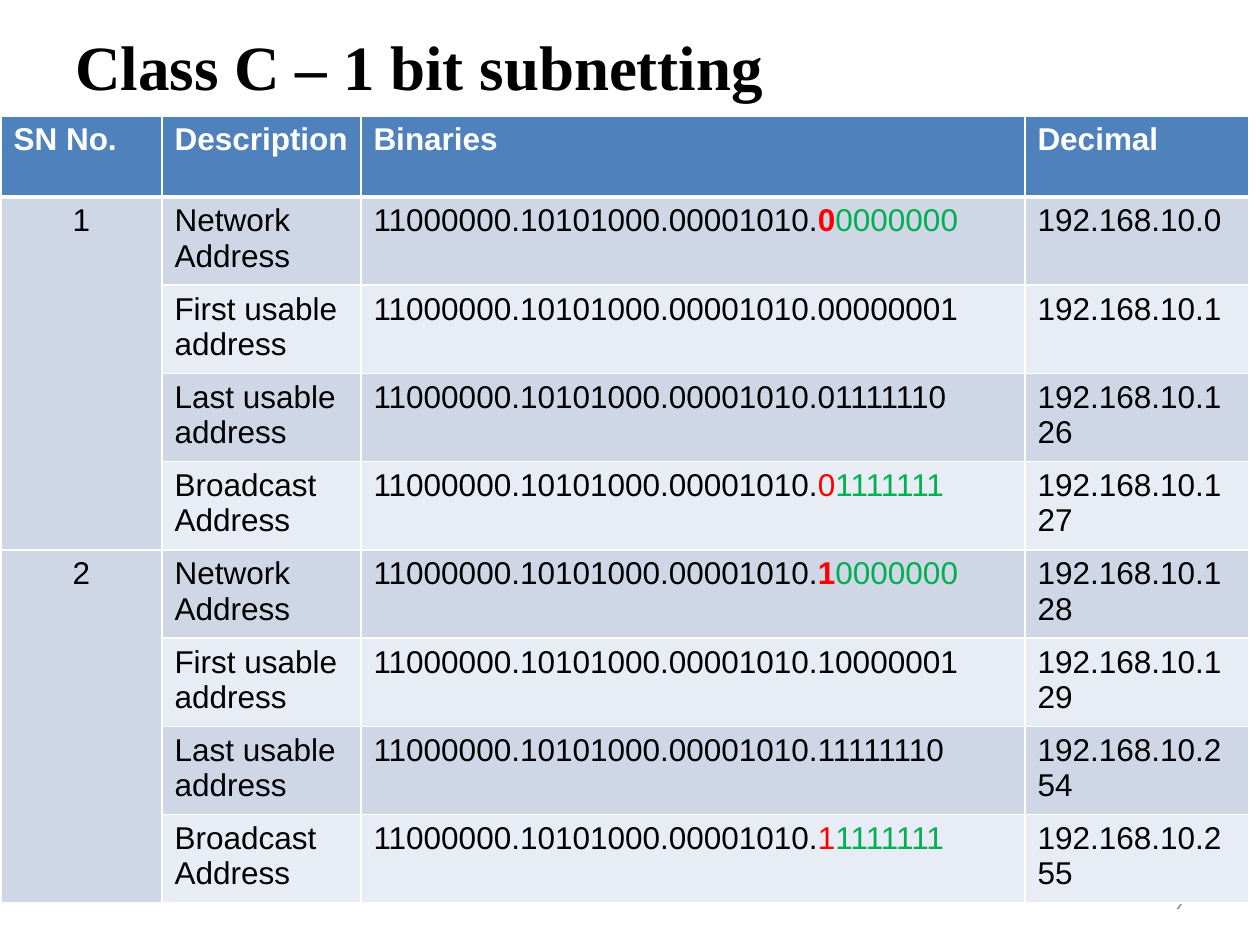
import dataclasses
import typing

import pptx
import pptx.dml.color
import pptx.enum.text
import pptx.oxml.xmlchemy
import pptx.util
from lxml import etree

PX = 914400 / 126
COLORS = {
    "black": "000000",
    "white": "FFFFFF",
    "header": "4F81BD",
    "band_dark": "CFD7E7",
    "band_light": "E8ECF4",
    "subnet_bit": "FF0000",
    "host_bits": "00B050",
    "page_number": "888888",
}
ALIGN = pptx.enum.text.PP_ALIGN
ANCHOR = pptx.enum.text.MSO_ANCHOR
NETWORK_BITS = "11000000.10101000.00001010."
NETWORK_DECIMAL = "192.168.10."
HEADERS = ["SN No.", "Description", "Binaries", "Decimal"]
COLUMN_WIDTHS = [161, 199, 664, 224]
ROW_HEIGHT = 81
HEADER_FORMAT = {"name": "Arial", "size": pptx.util.Pt(18), "bold": True}
BODY_FORMAT = {"name": "Arial", "size": pptx.util.Pt(18), "bold": False}


@dataclasses.dataclass
class Run:
    text: str
    format: dict[str, typing.Any]
    color: str = "black"


@dataclasses.dataclass
class Label:
    left: int
    top: int
    width: int
    height: int
    run: Run
    align: typing.Any = ALIGN.LEFT
    anchor: typing.Any = ANCHOR.TOP


@dataclasses.dataclass
class AddressKind:
    description: str
    host_bits: str
    highlighted: bool = False
    bold_bit: bool = False


LABELS = [
    Label(903, 876, 294, 50,
          Run("9", {"name": "Calibri", "size": pptx.util.Pt(12)}, "page_number"),
          ALIGN.RIGHT, ANCHOR.MIDDLE),
    Label(63, 21, 882, 89,
          Run("Class C – 1 bit subnetting",
              {"name": "Times New Roman", "size": pptx.util.Pt(36), "bold": True})),
]
ADDRESS_KINDS = [
    AddressKind("Network Address", "0000000", highlighted=True, bold_bit=True),
    AddressKind("First usable address", "0000001"),
    AddressKind("Last usable address", "1111110"),
    AddressKind("Broadcast Address", "1111111", highlighted=True),
]


def px(length: int) -> int:
    return round(length * PX)


def rgb(color: str) -> pptx.dml.color.RGBColor:
    return pptx.dml.color.RGBColor.from_string(COLORS[color])


def write_runs(tf: typing.Any, runs: list[Run], align: typing.Any = ALIGN.LEFT) -> None:
    p = tf.paragraphs[0]
    p.alignment = align
    for run in runs:
        r = p.add_run()
        r.text = run.text
        for key, value in run.format.items():
            setattr(r.font, key, value)
        r.font.color.rgb = rgb(run.color)


def add_label(s: typing.Any, label: Label) -> None:
    box = [px(n) for n in (label.left, label.top, label.width, label.height)]
    tf = s.shapes.add_textbox(*box).text_frame
    tf.word_wrap = True
    tf.vertical_anchor = label.anchor
    write_runs(tf, [label.run], label.align)


def style_cell(cell: typing.Any, fill: str, top: int = 1, bottom: int = 1) -> None:
    tc_pr = cell._tc.get_or_add_tcPr()
    for side, width in {"L": 1, "R": 1, "T": top, "B": bottom}.items():
        ln = etree.SubElement(tc_pr, pptx.oxml.ns.qn(f"a:ln{side}"),
                              w=str(pptx.util.Pt(width)))
        solid = etree.SubElement(ln, pptx.oxml.ns.qn("a:solidFill"))
        etree.SubElement(solid, pptx.oxml.ns.qn("a:srgbClr"), val=COLORS["white"])
    cell.fill.solid()
    cell.fill.fore_color.rgb = rgb(fill)


def binary_runs(kind: AddressKind, bit: int) -> list[Run]:
    if not kind.highlighted:
        return [Run(f"{NETWORK_BITS}{bit}{kind.host_bits}", BODY_FORMAT)]
    return [
        Run(NETWORK_BITS, BODY_FORMAT),
        Run(str(bit), BODY_FORMAT | {"bold": kind.bold_bit}, "subnet_bit"),
        Run(kind.host_bits, BODY_FORMAT, "host_bits"),
    ]


def add_subnet_table(s: typing.Any) -> None:
    kinds = len(ADDRESS_KINDS)
    rows = 1 + 2 * kinds
    table = s.shapes.add_table(rows, len(HEADERS), px(1), px(116),
                               px(sum(COLUMN_WIDTHS)), px(rows * ROW_HEIGHT)).table
    for column, width in zip(table.columns, COLUMN_WIDTHS):
        column.width = px(width)
    for row in table.rows:
        row.height = px(ROW_HEIGHT)
    for col, text in enumerate(HEADERS):
        cell = table.cell(0, col)
        style_cell(cell, "header", bottom=3)
        write_runs(cell.text_frame, [Run(text, HEADER_FORMAT, "white")])
    for row in range(1, rows):
        bit, index = divmod(row - 1, kinds)
        kind = ADDRESS_KINDS[index]
        band = "band_dark" if row % 2 else "band_light"
        for col in range(len(HEADERS)):
            style_cell(table.cell(row, col), band if col else "band_dark",
                       top=3 if row == 1 else 1)
        if index == 0:
            sn_cell = table.cell(row, 0)
            sn_cell.merge(table.cell(row + kinds - 1, 0))
            write_runs(sn_cell.text_frame, [Run(str(bit + 1), BODY_FORMAT)], ALIGN.CENTER)
        decimal = f"{NETWORK_DECIMAL}{int(f'{bit}{kind.host_bits}', 2)}"
        contents = [[Run(kind.description, BODY_FORMAT)], binary_runs(kind, bit),
                    [Run(decimal, BODY_FORMAT)]]
        for col, runs in enumerate(contents, start=1):
            write_runs(table.cell(row, col).text_frame, runs)


def main() -> None:
    prs = pptx.Presentation()
    prs.slide_width, prs.slide_height = px(1260), px(945)
    s = prs.slides.add_slide(prs.slide_layouts[6])
    for label in LABELS:
        add_label(s, label)
    add_subnet_table(s)
    prs.save("out.pptx")


if __name__ == "__main__":
    main()
